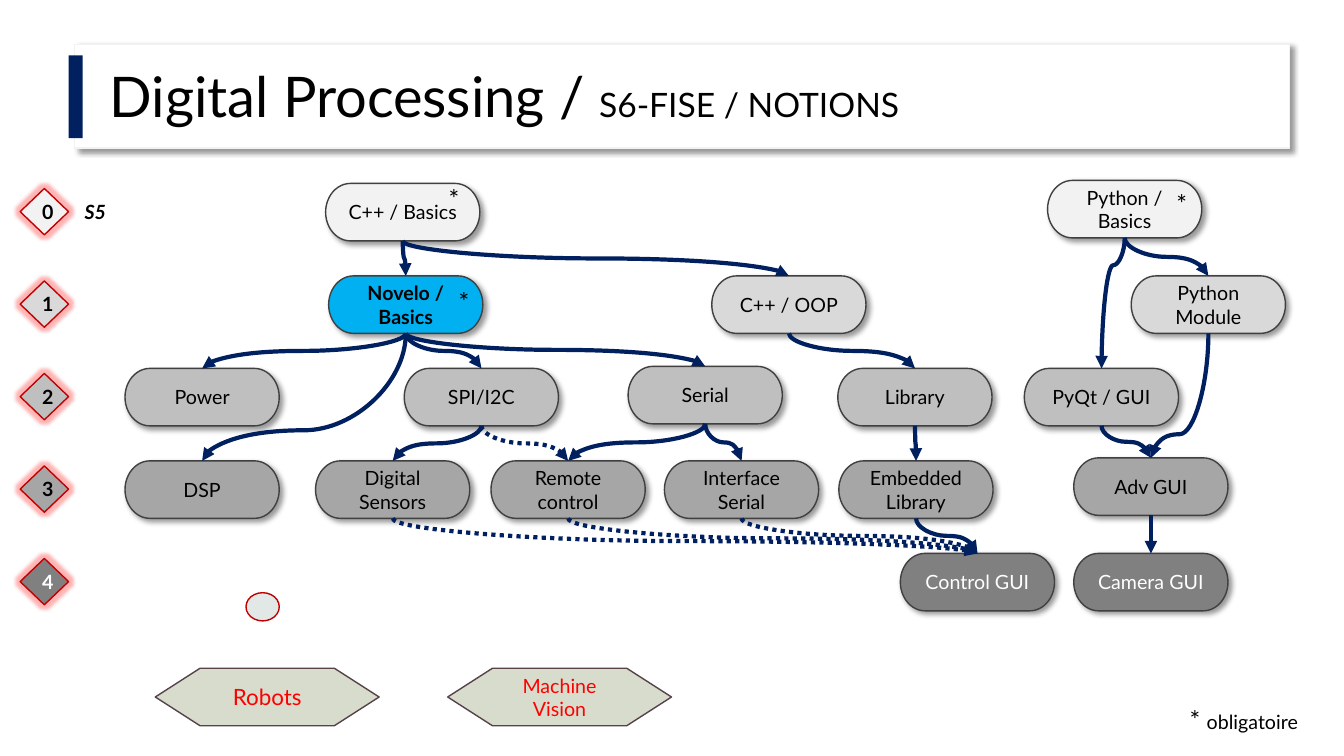
from lxml import etree
from pptx import Presentation
from pptx.dml.color import RGBColor
from pptx.enum.dml import MSO_LINE
from pptx.enum.shapes import MSO_CONNECTOR, MSO_SHAPE
from pptx.enum.text import MSO_ANCHOR, MSO_AUTO_SIZE, PP_ALIGN
from pptx.oxml.ns import qn
from pptx.util import Inches, Pt

RECTANGLE, DIAMOND, OVAL = MSO_SHAPE.RECTANGLE, MSO_SHAPE.DIAMOND, MSO_SHAPE.OVAL
TERMINATOR = MSO_SHAPE.FLOWCHART_TERMINATOR
PREPARATION = MSO_SHAPE.FLOWCHART_PREPARATION
CURVE, DOTTED = MSO_CONNECTOR.CURVE, MSO_LINE.ROUND_DOT
MIDDLE, CENTER, GROW = MSO_ANCHOR.MIDDLE, PP_ALIGN.CENTER, MSO_AUTO_SIZE.SHAPE_TO_FIT_TEXT

BLACK, WHITE = RGBColor(0, 0, 0), RGBColor(255, 255, 255)
NAVY = RGBColor(0x00, 0x20, 0x60)
RED, DARK_RED = RGBColor(0xFF, 0, 0), RGBColor(0xC0, 0, 0)
SKY = RGBColor(0x00, 0xB0, 0xF0)
CHARCOAL, PALE = RGBColor(0x40, 0x40, 0x40), RGBColor(0xF2, 0xF2, 0xF2)
SAGE, PLUM = RGBColor(0xD7, 0xDC, 0xCC), RGBColor(0x57, 0x42, 0x49)
MIST = RGBColor(0xE2, 0xE8, 0xE6)
LEVEL_FILLS = [PALE] + [RGBColor(v, v, v) for v in (0xD9, 0xBF, 0xA6, 0x80)]

# Content: notion -> (level, left, vertical nudge)
NOTIONS = {
    "Novelo / Basics": (1, 3.26, 0),
    "C++ / OOP": (1, 7.06, 0),
    "Python Module": (1, 11.22, 0),
    "C++ / Basics": (0, 3.23, 0),
    "Python / Basics": (0, 10.39, -0.03),
    "Power": (2, 1.24, 0),
    "DSP": (3, 1.24, 0),
    "Serial": (2, 6.23, -0.02),
    "SPI/I2C": (2, 4.01, 0),
    "Digital Sensors": (3, 3.13, 0),
    "Library": (2, 8.31, 0),
    "Embedded Library": (3, 8.32, 0),
    "PyQt / GUI": (2, 10.16, 0),
    "Interface Serial": (3, 6.59, 0),
    "Control GUI": (4, 8.93, 0),
    "Camera GUI": (4, 10.65, 0),
    "Remote control": (3, 4.87, 0),
    "Adv GUI": (3, 10.65, -0.03),
}
HIGHLIGHT = "Novelo / Basics"

# from, to, position of the bend, dotted
LINKS = [
    ("Novelo / Basics", "DSP", 0.76, False),
    ("C++ / Basics", "Novelo / Basics", 0.5, False),
    ("C++ / Basics", "C++ / OOP", 0.5, False),
    ("Python / Basics", "Python Module", 0.5, False),
    ("Novelo / Basics", "Power", 0.5, False),
    ("Novelo / Basics", "SPI/I2C", 0.5, False),
    ("Novelo / Basics", "Serial", 0.5, False),
    ("SPI/I2C", "Digital Sensors", 0.5, False),
    ("SPI/I2C", "Remote control", 0.5, True),
    ("Serial", "Remote control", 0.5, False),
    ("Serial", "Interface Serial", 0.5, False),
    ("C++ / OOP", "Library", 0.5, False),
    ("Library", "Embedded Library", 0.5, False),
    ("Python / Basics", "PyQt / GUI", 0.21, False),
    ("Python Module", "Adv GUI", 0.81, False),
    ("PyQt / GUI", "Adv GUI", 0.5, False),
    ("Adv GUI", "Camera GUI", 0.5, False),
    ("Embedded Library", "Control GUI", 0.5, False),
    ("Digital Sensors", "Control GUI", 0.65, True),
    ("Remote control", "Control GUI", 0.57, True),
    ("Interface Serial", "Control GUI", 0.5, True),
]
PROJECTS = [("Robots", 1.54, 16), ("Machine Vision", 4.44, 14)]
TITLE = [("Digital Processing / ", {"size": Pt(40)}), ("S6-FISE / NOTIONS", {"size": Pt(24)})]
STAR = [("*", {"size": Pt(18)})]
LABELS = [
    ((0.74, 1.93, 0.44, 0.34), [("S5", {"size": Pt(14), "bold": True, "italic": True})]),
    ((4.45, 2.79, 0.31, 0.4), STAR),
    ((4.35, 1.77, 0.31, 0.4), STAR),
    ((11.57, 1.82, 0.31, 0.4), STAR),
    ((11.7, 6.94, 1.36, 0.4), [("* ", {"size": Pt(18)}), ("obligatoire", {"size": Pt(14)})]),
]
FIRST_TOP, LAST_TOP = 1.82, 5.49
LEVEL_PITCH = (LAST_TOP - FIRST_TOP) / (len(LEVEL_FILLS) - 1)

deck = Presentation()
deck.slide_width, deck.slide_height = Inches(13.33), Inches(7.5)
page = deck.slides.add_slide(deck.slide_layouts[6])


def add_effect(shape, kind, color, alpha, **settings):
    effects = shape._element.spPr.find(qn("a:effectLst"))
    effect = etree.SubElement(effects, qn("a:" + kind), settings)
    tint = etree.SubElement(effect, qn("a:srgbClr"), val=str(color))
    etree.SubElement(tint, qn("a:alpha"), val=str(alpha * 1000))


def add_shadow(shape):
    add_effect(shape, "outerShdw", BLACK, 40, blurRad=str(Pt(4)), dist=str(Pt(3)),
               dir="2700000", algn="tl", rotWithShape="0")


def write(para, spans, color=BLACK):
    for text, style in spans:
        span = para.add_run()
        span.text = text
        span.font.name = "Lato"
        span.font.color.rgb = color
        for name, value in style.items():
            setattr(span.font, name, value)


def add_box(kind, place, fill, line=None, spans=(), color=BLACK):
    box = page.shapes.add_shape(kind, *map(Inches, place))
    box.shadow.inherit = False
    box.fill.solid()
    box.fill.fore_color.rgb = fill
    if line is None:
        box.line.fill.background()
    else:
        box.line.color.rgb = line
        box.line.width = Pt(1)
    box.text_frame.vertical_anchor = MIDDLE
    para = box.text_frame.paragraphs[0]
    para.alignment = CENTER
    write(para, spans, color)
    return box


def add_label(place, spans, wrap=False):
    label = page.shapes.add_textbox(*map(Inches, place))
    label.text_frame.word_wrap = wrap
    if not wrap:
        label.text_frame.auto_size = GROW
    para = label.text_frame.paragraphs[0]
    write(para, spans)
    return para


def add_link(start, end, bend, dotted):
    x1, y1 = start.left + start.width // 2, start.top + start.height
    x2, y2 = end.left + end.width // 2, end.top
    link = page.shapes.add_connector(CURVE, x1, y1, x2, y2)
    link.begin_connect(start, 2)
    link.end_connect(end, 0)
    # A downward curve is a sideways one turned by a quarter
    run, drop = abs(x2 - x1), y2 - y1
    link.left, link.top = (x1 + x2 - drop) // 2, (y1 + y2 - run) // 2
    link.width, link.height = drop, run
    properties = link._element.spPr
    frame = properties.find(qn("a:xfrm"))
    for flip in ("flipH", "flipV"):
        frame.attrib.pop(flip, None)
    frame.set("rot", "16200000" if x2 > x1 else "5400000")
    if x2 > x1:
        frame.set("flipH", "1")
    guides = properties.find(qn("a:prstGeom")).find(qn("a:avLst"))
    etree.SubElement(guides, qn("a:gd"), name="adj1", fmla=f"val {round(bend * 100000)}")
    link.line.color.rgb = NAVY
    link.line.width = Pt(3)
    if dotted:
        link.line.dash_style = DOTTED
    etree.SubElement(properties.find(qn("a:ln")), qn("a:tailEnd"), type="triangle")
    etree.SubElement(properties, qn("a:effectLst"))


# Title band
add_shadow(add_box(RECTANGLE, (0.74, 0.44, 12.05, 1.03), WHITE, PALE))
add_label((0.99, 0.64, 11.12, 0.77), TITLE, wrap=True).line_spacing = 0.9
add_box(RECTANGLE, (0.68, 0.55, 0.14, 0.82), NAVY)

# Level markers
for level, fill in enumerate(LEVEL_FILLS):
    marker = add_box(DIAMOND, (0.2, FIRST_TOP + 0.05 + level * LEVEL_PITCH, 0.48, 0.46), fill,
                     DARK_RED, [(str(level), {"size": Pt(14), "bold": True})],
                     WHITE if level == 4 else BLACK)
    add_effect(marker, "glow", RED, 30, rad=str(Pt(5)))

# Notions
boxes = {}
for notion, (level, left, nudge) in NOTIONS.items():
    special = notion == HIGHLIGHT
    boxes[notion] = add_box(
        TERMINATOR, (left, FIRST_TOP + level * LEVEL_PITCH + nudge, 1.53, 0.57),
        SKY if special else LEVEL_FILLS[level], CHARCOAL,
        [(notion, {"size": Pt(14), "bold": special})], WHITE if level == 4 else BLACK)
    add_shadow(boxes[notion])

# Links between notions
for source, target, bend, dotted in LINKS:
    add_link(boxes[source], boxes[target], bend, dotted)

# Projects, labels and the free spot
for project, left, size in PROJECTS:
    add_box(PREPARATION, (left, 6.63, 2.22, 0.57), SAGE, PLUM, [(project, {"size": Pt(size)})], RED)
for place, spans in LABELS:
    add_label(place, spans)
add_box(OVAL, (2.44, 5.88, 0.33, 0.28), MIST, DARK_RED)

deck.save("out.pptx")
